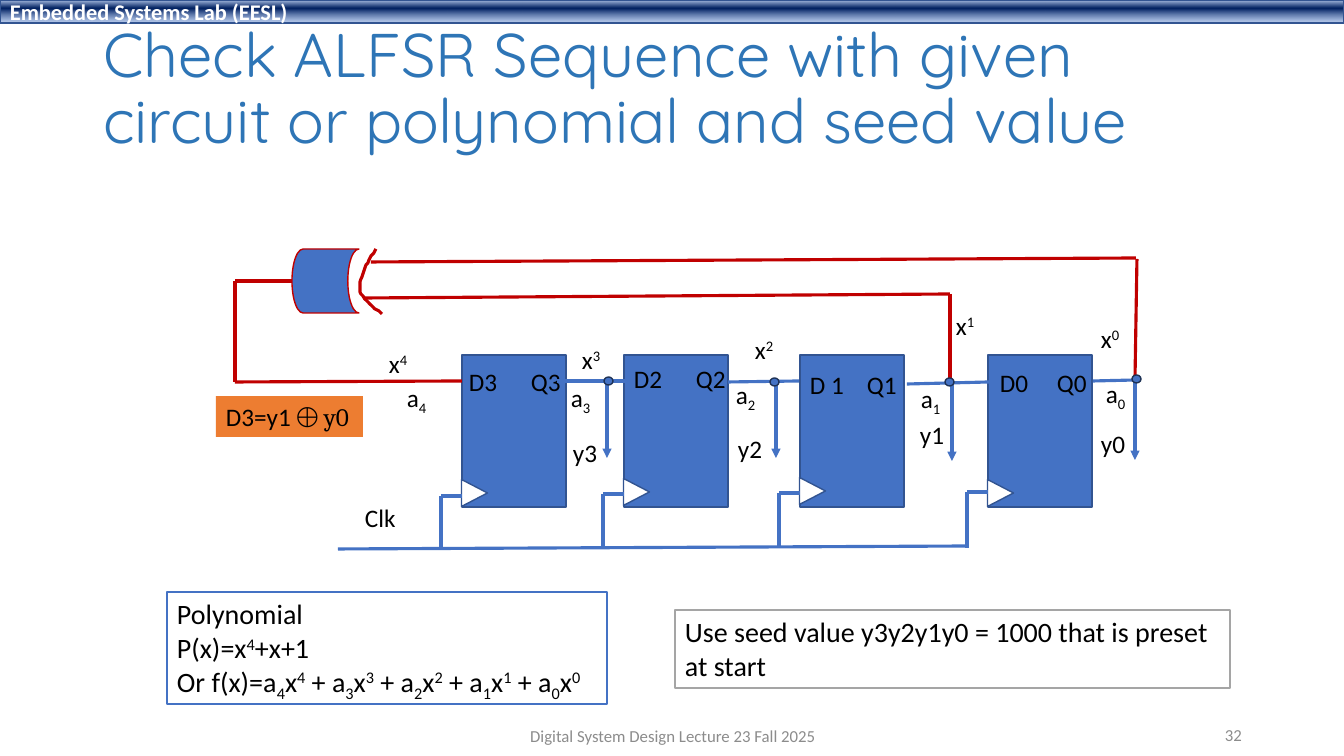
"""Build the ALFSR sequence slide with its four flip-flop circuit."""
from lxml.etree import SubElement
from pptx import Presentation
from pptx.dml.color import RGBColor
from pptx.enum.shapes import MSO_CONNECTOR as Connector, MSO_SHAPE as Shape
from pptx.enum.text import MSO_ANCHOR as Anchor, MSO_AUTO_SIZE as AutoSize, PP_ALIGN as Align
from pptx.oxml import parse_xml
from pptx.oxml.ns import nsdecls, qn
from pptx.util import Emu, Pt

WHITE = RGBColor(0xFF, 0xFF, 0xFF)
BLACK = RGBColor(0x00, 0x00, 0x00)
GREY = RGBColor(0x8C, 0x8C, 0x8C)
SILVER = RGBColor(0xA5, 0xA5, 0xA5)
BLUE = RGBColor(0x44, 0x72, 0xC4)
EDGE = RGBColor(0x32, 0x54, 0x91)
NAVY = RGBColor(0x1E, 0x32, 0x56)
RED = RGBColor(0xC0, 0x00, 0x00)
ORANGE = RGBColor(0xED, 0x7D, 0x31)
TITLE_BLUE = RGBColor(0x2E, 0x75, 0xB6)
BAND_LIGHT = RGBColor(0xAB, 0xC0, 0xE4)
BAND_DARK = RGBColor(0x00, 0x20, 0x60)
BAND_SOFT = RGBColor(0x7E, 0x9E, 0xD6)

PX = 914400 / 100.8
BASELINES = {"^": "30000", "_": "-25000"}

HEADER = "Embedded Systems Lab (EESL)"
BAND = [(2, BAND_LIGHT, 100), (38, BAND_DARK, 100), (93, BAND_SOFT, 64)]
TITLE = "Check ALFSR Sequence with given circuit or polynomial and seed value"
FOOTERS = [
    ("Digital System Design Lecture 23 Fall 2025", (446, 716, 454, 40), Align.CENTER),
    ("32", (950, 715, 302, 40), Align.RIGHT),
]
NOTES = [
    (["Polynomial", "P(x)=x^4+x+1",
      "Or f(x)=a_4x^4 + a_3x^3 + a_2x^2 + a_1x^1 + a_0x^0"],
     (167, 592, 440, 112), WHITE, BLUE, 20),
    (["Use seed value y3y2y1y0 = 1000 that is preset", "at start"],
     (675, 610, 555, 78), WHITE, SILVER, 20),
    (["D3=y1 |⨁ y0"], (216, 396, 147, 41), ORANGE, None, 18),
]
STAGES = [
    {"pins": "D3\tQ3", "left": 462, "pins_at": (459, 361), "tab": 62, "clock": 496, "notch": 480},
    {"pins": "D2\tQ2", "left": 624, "pins_at": (624, 358), "tab": 62, "clock": 494, "notch": 479},
    {"pins": "D 1\tQ1", "left": 800, "pins_at": (800, 364), "tab": 57, "clock": 493, "notch": 478},
    {"pins": "D0\tQ0", "left": 988, "pins_at": (990, 362), "tab": 57, "clock": 492, "notch": 480},
]
STAGE_TOP, STAGE_WIDTH, STAGE_HEIGHT = 355, 104, 152
CLOCK_STUB, CLOCK_RAIL = 21, 548
WIRES = [
    (RED, [(1136, 258), (371, 262)]),
    (RED, [(1135, 380), (1137, 259)]),
    (RED, [(292, 281), (235, 281), (235, 382), (462, 381)]),
    (RED, [(363, 298), (950, 294), (950, 381)]),
    (BLUE, [(907, 384), (989, 382)]),
    (BLUE, [(557, 381), (627, 381)]),
    (BLUE, [(1093, 381), (1135, 380)]),
    (BLUE, [(728, 382), (799, 381)]),
    (BLUE, [(969, 546), (338, 549)]),
]
TAPS = [(607, 380), (776, 380), (952, 383), (1135, 382)]
TAP_LENGTH = 78
DOTS = [(604, 377), (770, 378), (945, 378), (1132, 375)]
LABELS = [
    ("Clk", 355, 497, 51),
    ("x^4", 379, 343, 40), ("x^3", 572, 339, 40), ("x^2", 745, 329, 40),
    ("x^1", 946, 305, 40), ("x^0", 1091, 318, 40),
    ("a_4", 397, 377, 41), ("a_3", 561, 377, 41), ("a_2", 726, 374, 41),
    ("a_1", 911, 378, 41), ("a_0", 1096, 373, 41),
    ("y3", 563, 432, 44), ("y2", 728, 428, 44), ("y1", 910, 414, 44), ("y0", 1091, 423, 44),
]
GATE = (292, 249, 67, 64)
GATE_ARC = [
    [(376, 249), (369, 260), (365, 266), (363, 274)],
    [(363, 274), (360, 281), (358, 289), (361, 294)],
    [(361, 294), (365, 300), (373, 307), (382, 314)],
]


def px(*lengths):
    return [Emu(round(length * PX)) for length in lengths]


def apply(target, **values):
    for attribute, value in values.items():
        setattr(target, attribute, value)


def split_runs(text):
    plain, _, symbols = text.partition("|")
    runs, mark = [], ""
    for letter in plain:
        if letter in BASELINES:
            mark = letter
        elif mark or not runs or runs[-1][0]:
            runs.append([mark, letter])
            mark = ""
        else:
            runs[-1][1] += letter
    return runs + [["|", symbols]] if symbols else runs


def write(owner, lines, size, color=BLACK, font="Calibri", bold=False, align=Align.LEFT,
          anchor=Anchor.TOP, wrap=False):
    frame = owner.text_frame
    apply(frame, word_wrap=wrap, vertical_anchor=anchor, auto_size=AutoSize.NONE)
    for number, line in enumerate(lines):
        paragraph = frame.add_paragraph() if number else frame.paragraphs[0]
        paragraph.alignment = align
        for mark, text in split_runs(line):
            run = paragraph.add_run()
            run.text = text
            apply(run.font, size=Pt(size), name="Cambria" if mark == "|" else font, bold=bold)
            run.font.color.rgb = color
            if mark in BASELINES:
                run.font._element.set("baseline", BASELINES[mark])
    return frame


def paint(shape, fill, line, width=1):
    shape.shadow.inherit = False
    for part, color in ((shape.fill, fill), (shape.line.fill, line)):
        if color is None:
            part.background()
        else:
            part.solid()
            part.fore_color.rgb = color
    if line is not None:
        shape.line.width = Pt(width)


def add_block(shapes, kind, frame, fill, line, turn=0):
    block = shapes.add_shape(kind, *px(*frame))
    paint(block, fill, line)
    block.rotation = turn
    return block


def add_label(shapes, text, frame, size=18, **style):
    return write(shapes.add_textbox(*px(*frame)), [text], size, **style)


def add_wire(shapes, color, start, end, arrow=False):
    wire = shapes.add_connector(Connector.STRAIGHT, *px(*start, *end))
    wire.line.color.rgb = color
    wire.line.width = Pt(2.25)
    properties = wire._element.spPr
    if arrow:
        SubElement(properties.find(qn("a:ln")), qn("a:tailEnd"), type="triangle")
    SubElement(properties, qn("a:effectLst"))


def add_header(shapes):
    header = add_block(shapes, Shape.RECTANGLE, (0, 0, 1344, 23), WHITE, EDGE)
    stops = "".join(
        f'<a:gs pos="{place * 1000}"><a:srgbClr val="{color}">'
        f'<a:alpha val="{alpha * 1000}"/></a:srgbClr></a:gs>' for place, color, alpha in BAND)
    properties = header._element.spPr
    properties.replace(properties.find(qn("a:solidFill")), parse_xml(
        f'<a:gradFill {nsdecls("a")}><a:gsLst>{stops}</a:gsLst><a:lin ang="5400000"/></a:gradFill>'))
    write(header, [HEADER], 16, WHITE, bold=True, anchor=Anchor.MIDDLE, wrap=True)


def add_stage(shapes, stage):
    left, clock = stage["left"], stage["clock"]
    add_block(shapes, Shape.RECTANGLE, (left, STAGE_TOP, STAGE_WIDTH, STAGE_HEIGHT), BLUE, EDGE)
    add_block(shapes, Shape.ISOSCELES_TRIANGLE, (left - 1, stage["notch"], 27, 26), WHITE, EDGE, 90)
    corner = (left - CLOCK_STUB, clock)
    add_wire(shapes, BLUE, (left, clock), corner)
    add_wire(shapes, BLUE, corner, (corner[0], CLOCK_RAIL))
    pins = add_label(shapes, stage["pins"], (*stage["pins_at"], 116, 40), wrap=True)
    tabs = SubElement(pins.paragraphs[0]._p.get_or_add_pPr(), qn("a:tabLst"))
    SubElement(tabs, qn("a:tab"), pos=str(px(stage["tab"])[0]), algn="l")


def add_gate(shapes):
    add_block(shapes, Shape.FLOWCHART_STORED_DATA, GATE, BLUE, RED)
    points = []
    for curve in GATE_ARC:
        for step in range(9):
            t = step / 8
            weights = ((1 - t) ** 3, 3 * t * (1 - t) ** 2, 3 * t * t * (1 - t), t ** 3)
            points.append(tuple(sum(w * p[axis] for w, p in zip(weights, curve)) for axis in (0, 1)))
    builder = shapes.build_freeform(*points[0], scale=PX)
    builder.add_line_segments(points[1:], close=False)
    paint(builder.convert_to_shape(), None, RED, 2.25)


def main():
    deck = Presentation()
    deck.slide_width, deck.slide_height = px(1344, 756)
    slide = deck.slides.add_slide(deck.slide_layouts[5])
    shapes = slide.shapes
    title = shapes.title
    apply(title, **dict(zip(("left", "top", "width", "height"), px(93, 15, 1159, 151))))
    heading = write(title, [TITLE], 44, TITLE_BLUE, "Quicksand", anchor=Anchor.MIDDLE, wrap=True)
    heading.paragraphs[0].line_spacing = 0.9
    add_header(shapes)
    for text, frame, align in FOOTERS:
        add_label(shapes, text, frame, 12, color=GREY, align=align, anchor=Anchor.MIDDLE, wrap=True)
    for stage in STAGES:
        add_stage(shapes, stage)
    add_gate(shapes)
    for color, points in WIRES:
        for start, end in zip(points, points[1:]):
            add_wire(shapes, color, start, end)
    for x, y in TAPS:
        add_wire(shapes, BLUE, (x, y), (x, y + TAP_LENGTH), arrow=True)
    for text, left, top, width in LABELS:
        add_label(shapes, text, (left, top, width, 40))
    for lines, frame, fill, line, size in NOTES:
        write(add_block(shapes, Shape.RECTANGLE, frame, fill, line), lines, size)
    for dot in DOTS:
        add_block(shapes, Shape.OVAL, (*dot, 9, 8), BLUE, NAVY)
    deck.save("out.pptx")


if __name__ == "__main__":
    main()
